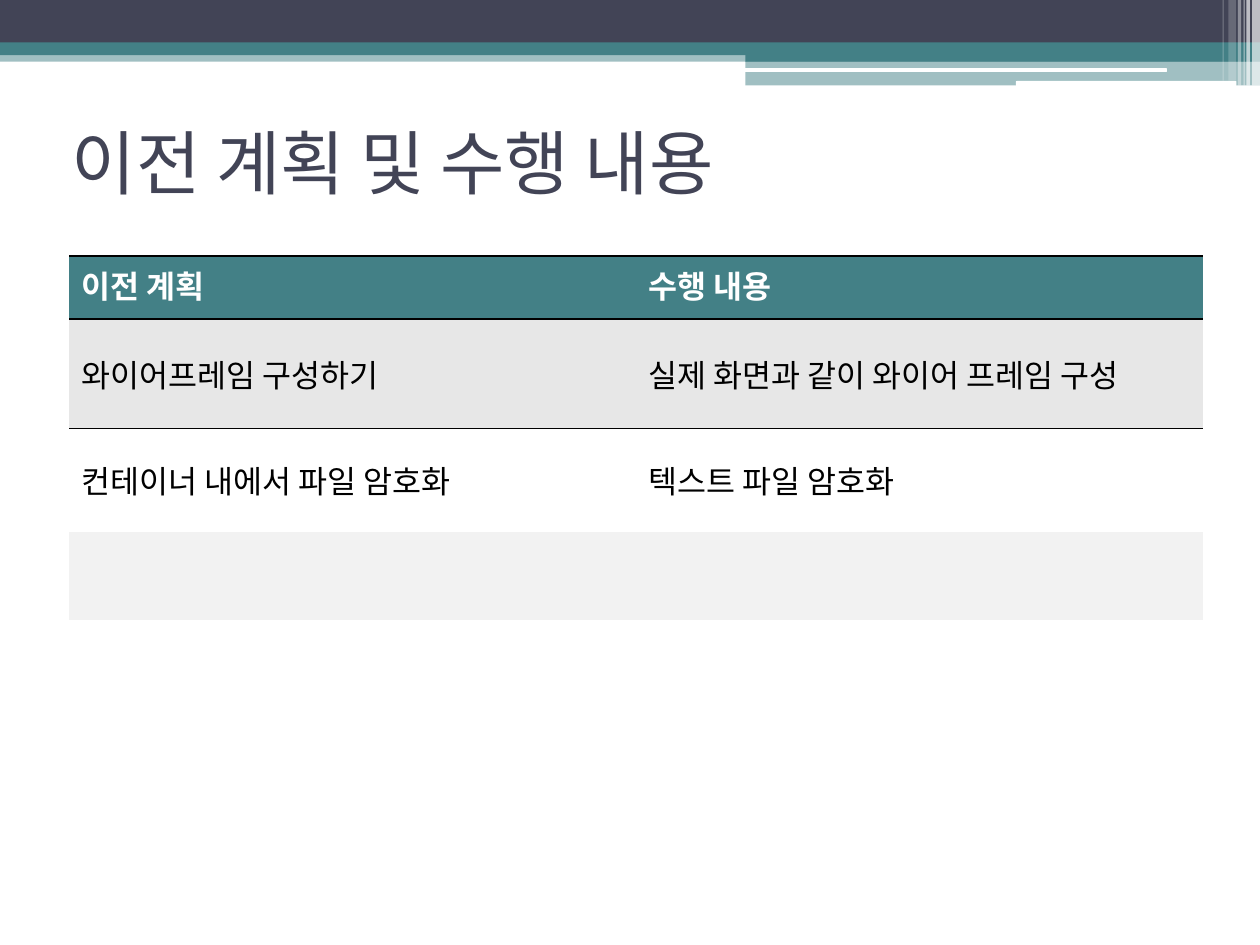
"""Build the slide comparing earlier plans with the work carried out."""
from dataclasses import dataclass

from lxml import etree
from pptx import Presentation
from pptx import util as u
from pptx.dml.color import RGBColor
from pptx.enum import shapes, text
from pptx.oxml import ns


@dataclass(frozen=True)
class Theme:
    """Colours, fonts and type sizes of the slide."""
    navy: str = "424456"
    teal: str = "438086"
    white: str = "FFFFFF"
    black: str = "000000"
    grey: str = "E7E7E7"
    pale: str = "F2F2F2"
    title_font: str = "Karla"
    body_font: str = "TeX Gyre Schola"
    title_size: int = 40
    body_size: int = 18
    rule: float = 0.96


T = Theme()
RECT = shapes.MSO_SHAPE.RECTANGLE
ROUND = shapes.MSO_SHAPE.ROUNDED_RECTANGLE
NO_GRID_STYLE = "{2D5ABB26-0587-4C30-8999-92F81FD0307C}"

BANDS = [
    (RECT, 0, 28.8, 720, 6.48, T.teal, 50),
    (RECT, 0, 0, 720, 24.48, T.navy, 100),
    (RECT, 0, 24.3, 720, 7.2, T.teal, 100),
    (RECT, 426, 28, 294, 7.2, T.teal, 100),
    (RECT, 426, 34.9, 294, 14, T.teal, 50),
    (ROUND, 425.5, 39, 241.3, 2.16, T.white, 100),
    (ROUND, 580.5, 46.3, 126, 2.88, T.white, 100),
]
STRIPES = [
    (715.5, 4.5, 49, 65),
    (712.2, 2, 49, 65),
    (710.6, 0.72, 49, 60),
    (707.3, 2, 49, 40),
    (702, 4.3, 46.1, 20),
    (698.6, 0.72, 46.1, 30),
]
ROW_HEIGHTS = [36, 62.6, 59, 50.4]
ROW_FILLS = [T.teal, T.grey, T.white, T.pale]
ROWS = [
    ("이전 계획", "수행 내용"),
    ("와이어프레임 구성하기", "실제 화면과 같이 와이어 프레임 구성"),
    ("컨테이너 내에서 파일 암호화", "텍스트 파일 암호화"),
    ("", ""),
]


def paint(fill, color, alpha=100):
    """Give a fill a solid colour with an opacity in percent."""
    fill.solid()
    fill.fore_color.rgb = RGBColor.from_string(color)
    if alpha < 100:
        clr = fill._xPr.find(".//" + ns.qn("a:srgbClr"))
        etree.SubElement(clr, ns.qn("a:alpha"), val=str(alpha * 1000))


def add_block(s, kind, left, top, width, height, color, alpha=100):
    """Add a plain block without outline or shadow."""
    sp = s.shapes.add_shape(kind, u.Pt(left), u.Pt(top), u.Pt(width), u.Pt(height))
    sp.shadow.inherit = False
    sp.line.fill.background()
    paint(sp.fill, color, alpha)


def write(tf, words, font, size, color, bold=False):
    """Set the text of a frame and format its runs."""
    tf.text = words
    p = tf.paragraphs[0]
    p.font.size = u.Pt(size)
    for r in p.runs:
        r.font.name = font
        r.font.size = u.Pt(size)
        r.font.bold = bold
        r.font.color.rgb = RGBColor.from_string(color)


def add_title(s, words):
    """Add the slide title."""
    sp = s.shapes.add_textbox(u.Pt(34), u.Pt(50.4), u.Pt(648), u.Pt(84.2))
    tf = sp.text_frame
    tf.word_wrap = True
    tf.vertical_anchor = text.MSO_ANCHOR.MIDDLE
    write(tf, words, T.title_font, T.title_size, T.navy)


def add_rules(cell, *sides):
    """Draw black rules on the given sides of a cell."""
    tc_pr = cell._tc.get_or_add_tcPr()
    for i, side in enumerate(sides):
        ln = etree.Element(ns.qn(f"a:ln{side}"), w=str(u.Pt(T.rule)))
        fill = etree.SubElement(ln, ns.qn("a:solidFill"))
        etree.SubElement(fill, ns.qn("a:srgbClr"), val=T.black)
        tc_pr.insert(i, ln)


def add_plan_table(s):
    """Add the table of plans and results."""
    frame = s.shapes.add_table(len(ROWS), 2, u.Pt(39.5), u.Pt(146.2),
                               u.Pt(648), u.Pt(sum(ROW_HEIGHTS)))
    table = frame.table
    table._tbl.tblPr.find(ns.qn("a:tableStyleId")).text = NO_GRID_STYLE
    table.first_row = table.horz_banding = False
    for i, (words, height, color) in enumerate(zip(ROWS, ROW_HEIGHTS, ROW_FILLS)):
        header = i == 0
        table.rows[i].height = u.Pt(height)
        for cell, label in zip(table.rows[i].cells, words):
            paint(cell.fill, color)
            write(cell.text_frame, label, T.body_font, T.body_size,
                  T.white if header else T.black, header)
            if header:
                add_rules(cell, "T", "B")
            else:
                cell.vertical_anchor = text.MSO_ANCHOR.MIDDLE
            if i == 1:
                add_rules(cell, "T")


def main():
    """Build and save the slide."""
    prs = Presentation()
    prs.slide_width, prs.slide_height = u.Pt(720), u.Pt(540)
    s = prs.slides.add_slide(prs.slide_layouts[6])
    paint(s.background.fill, T.white)
    for band in BANDS:
        add_block(s, *band)
    for left, width, height, alpha in STRIPES:
        add_block(s, RECT, left, 0, width, height, T.white, alpha)
    add_title(s, "이전 계획 및 수행 내용")
    add_plan_table(s)
    prs.save("out.pptx")


if __name__ == "__main__":
    main()
